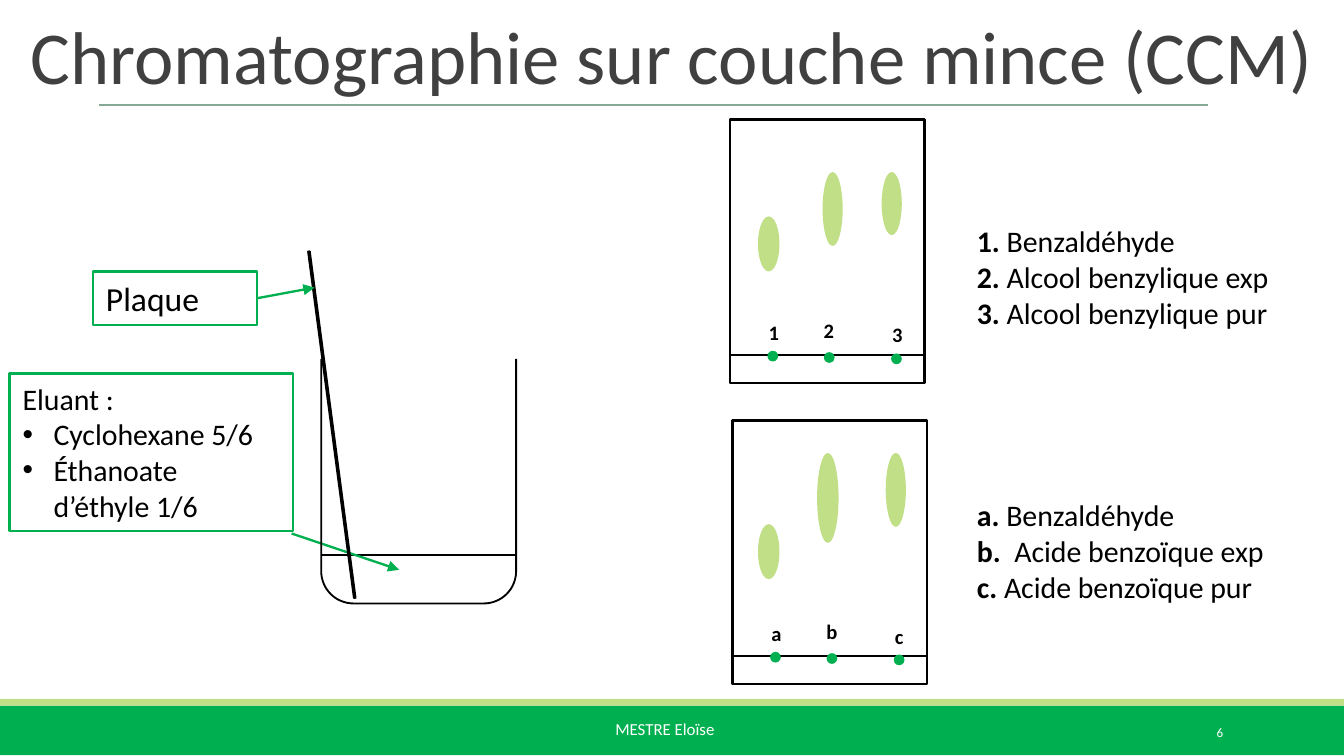
"""Build the thin-layer chromatography slide."""
from math import cos, pi, sin

from lxml import etree
from pptx import Presentation
from pptx.dml.color import RGBColor
from pptx.enum.shapes import MSO_CONNECTOR, MSO_SHAPE
from pptx.enum.text import MSO_ANCHOR, MSO_AUTO_SIZE, PP_ALIGN
from pptx.oxml.ns import qn
from pptx.util import Inches, Pt

RECT, OVAL, SLANT = MSO_SHAPE.RECTANGLE, MSO_SHAPE.OVAL, MSO_SHAPE.PARALLELOGRAM
STRAIGHT = MSO_CONNECTOR.STRAIGHT
LEFT, RIGHT = PP_ALIGN.LEFT, PP_ALIGN.RIGHT
TOP, MIDDLE, BOTTOM = MSO_ANCHOR.TOP, MSO_ANCHOR.MIDDLE, MSO_ANCHOR.BOTTOM
FIXED = MSO_AUTO_SIZE.NONE

HUES = {"green": "00B050", "lime": "C1DF87", "rule": "87A896", "title": "404040",
        "grey": "A6A6A6", "black": "000000", "white": "FFFFFF"}
FONT = "Calibri"

TITLE = "Chromatographie sur couche mince (CCM)"
AUTHOR, NUMBER = "MESTRE Eloïse", "6"
PLATE = "Plaque"
SOLVENT = ["Eluant :", "Cyclohexane 5/6", "Éthanoate d’éthyle 1/6"]

PANELS = [
    {"at": (5.43, 0.89), "marks": "123", "key_top": 1.61,
     "stains": [(5.64, 1.61, 0.16, 0.41), (6.56, 1.28, 0.15, 0.47), (6.12, 1.28, 0.15, 0.55)],
     "names": ["Benzaldéhyde", "Alcool benzylique exp", "Alcool benzylique pur"]},
    {"at": (5.45, 3.13), "marks": "abc", "key_top": 3.65,
     "stains": [(5.64, 3.9, 0.16, 0.41), (6.08, 3.37, 0.16, 0.67), (6.59, 3.37, 0.15, 0.55)],
     "names": ["Benzaldéhyde", " Acide benzoïque exp", "Acide benzoïque pur"]},
]
PANEL_SIZE = (1.45, 1.96)
START = 1.75
DOTS = [(0.28, 1.72), (0.7, 1.73), (1.2, 1.74)]
LABELS = [(0.19, 1.44), (0.6, 1.43), (1.11, 1.46)]
BEAKER = {"left": 2.39, "right": 3.84, "top": 2.67, "base": 4.49, "curve": 0.24}


def color(name):
    return RGBColor.from_string(HUES[name])


def shape(kind, at, fill, line=None, width=1.25):
    item = slide.shapes.add_shape(kind, *map(Inches, at))
    item.shadow.inherit = False
    paint(item, fill, line, width)
    return item


def paint(item, fill, line, width):
    if fill:
        item.fill.solid()
        item.fill.fore_color.rgb = color(fill)
    else:
        item.fill.background()
    if line:
        item.line.color.rgb = color(line)
        item.line.width = Pt(width)
    else:
        item.line.fill.background()


def link(start, end, hue, width=1, arrow=False):
    item = slide.shapes.add_connector(STRAIGHT, *map(Inches, start + end))
    item.line.color.rgb = color(hue)
    item.line.width = Pt(width)
    if arrow:
        etree.SubElement(item.line._get_or_add_ln(), qn("a:tailEnd"), type="triangle")
    etree.SubElement(item._element.spPr, qn("a:effectLst"))
    return item


def style(para, size, hue, bold=False, align=LEFT):
    para.alignment = align
    for run in para.runs:
        font = run.font
        font.name, font.size, font.bold = FONT, Pt(size), bold
        font.color.rgb = color(hue)


def write(item, lines, size, hue="black", bold=False, align=LEFT, anchor=TOP, wrap=True):
    frame = item.text_frame
    frame.word_wrap, frame.auto_size = wrap, FIXED
    frame.vertical_anchor = anchor
    frame.text = "\n".join(lines)
    for para in frame.paragraphs:
        style(para, size, hue, bold, align)
    return frame


def box(at):
    return slide.shapes.add_textbox(*map(Inches, at))


def bullet(para):
    props = para._p.get_or_add_pPr()
    props.set("marL", str(Inches(0.23)))
    props.set("indent", str(-Inches(0.23)))
    etree.SubElement(props, qn("a:buFont"), typeface="Arial")
    etree.SubElement(props, qn("a:buChar"), char="•")


def draw_beaker():
    left, right, top, base, curve = BEAKER.values()
    turns = [pi * step / 32 for step in range(17)]
    low = base - curve
    points = [(left + curve - curve * cos(t), low + curve * sin(t)) for t in turns]
    points += [(right - curve + curve * sin(t), low + curve * cos(t)) for t in turns]
    points.append((right, top))
    path = slide.shapes.build_freeform(Inches(left), Inches(top))
    path.add_line_segments([(Inches(x), Inches(y)) for x, y in points], close=False)
    item = path.convert_to_shape()
    item.shadow.inherit = False
    paint(item, None, "black", 1)


def draw_panel(panel):
    x, y = panel["at"]
    wide, high = PANEL_SIZE
    shape(RECT, (x, y, wide, high), "white", "black")
    link((x, y + START), (x + wide, y + START), "black")
    for mark, dot, spot in zip(panel["marks"], DOTS, LABELS):
        shape(OVAL, (x + dot[0], y + dot[1], 0.08, 0.08), "green")
        write(box((x + spot[0], y + spot[1], 0.25, 0.29)), [mark], 11, bold=True)
    for stain in panel["stains"]:
        shape(OVAL, stain, "lime")


def draw_key(panel):
    lines = [f"{mark}. " for mark in panel["marks"]]
    frame = write(box((7.17, panel["key_top"], 2.49, 0.9)), lines, 16, bold=True)
    for para, name in zip(frame.paragraphs, panel["names"]):
        para.add_run().text = name
        style(para, 16, "black")
        para.runs[0].font.bold = True


deck = Presentation()
deck.slide_width = Inches(10)
deck.slide_height = deck.slide_width * 9 // 16
slide = deck.slides.add_slide(deck.slide_layouts[5])

shape(RECT, (0, 5.25, 10, 0.37), "green")
shape(RECT, (0, 5.2, 10, 0.05), "lime")
link((0.74, 0.78), (8.99, 0.78), "rule")
write(box((4.48, 5.3, 1.04, 0.4)), [AUTHOR], 9, "white", wrap=False)
write(box((8.12, 5.3, 1.08, 0.3)), [NUMBER], 7, "white", align=RIGHT, anchor=MIDDLE)

title = slide.shapes.title
title.left, title.top, title.width, title.height = map(Inches, (0.13, 0.03, 9.87, 0.76))
frame = write(title, [TITLE], 40, "title", anchor=BOTTOM)
frame.margin_left = frame.margin_right = Inches(0.1)
frame.margin_top = frame.margin_bottom = Inches(0.05)
frame.paragraphs[0].line_spacing = 0.85

link((2.39, 4.13), (3.85, 4.13), "black")
solvent = shape(RECT, (0.07, 2.78, 2.11, 1.17), "white", "green")
frame = write(solvent, SOLVENT, 16)
for para in frame.paragraphs[1:]:
    bullet(para)
link((2.17, 3.97), (2.97, 4.24), "green", 1.25, arrow=True)
draw_beaker()
sheet = shape(SLANT, (2.44, 1.86, 0.06, 2.6), "grey", "black", 1)
sheet.adjustments[0] = 0.78
sheet.rotation = 353.5
sheet._element.spPr.get_or_add_xfrm().set("flipH", "1")
plate = shape(RECT, (0.69, 2.02, 1.22, 0.4), "white", "green")
write(plate, [PLATE], 18)
link((1.91, 2.22), (2.34, 2.14), "green", 1.25, arrow=True).begin_connect(plate, 3)

for panel in PANELS:
    draw_key(panel)
    draw_panel(panel)

deck.save("out.pptx")
